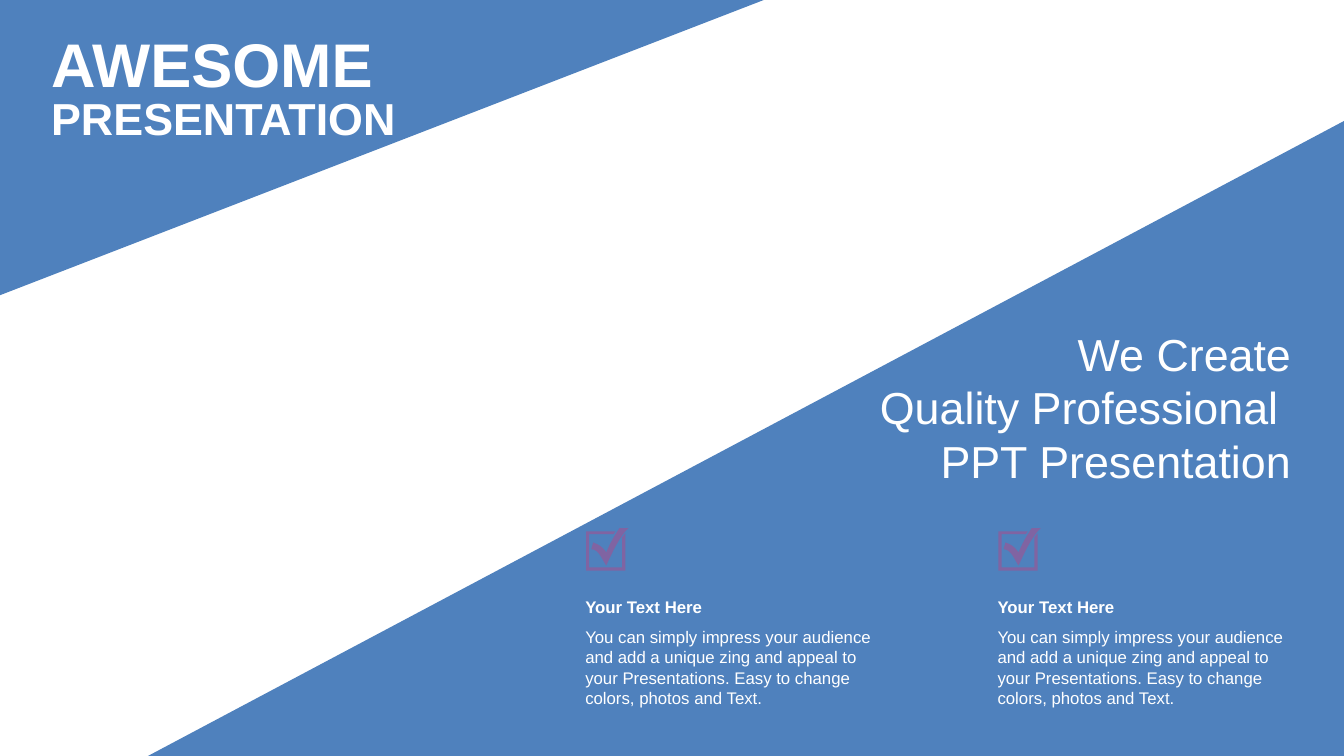
import pptx
import pptx.dml.color
import pptx.enum.text
import pptx.util

Cm = pptx.util.Cm
ALIGN = pptx.enum.text.PP_ALIGN
ANCHOR = pptx.enum.text.MSO_ANCHOR

WIDTH, HEIGHT = 33.87, 19.05
COLORS = {"blue": "4F81BD", "purple": "8064A2", "white": "FFFFFF"}
FONT = "Arial"

HEADING = "Your Text Here"
BODY = ("You can simply impress your audience and add a unique zing and appeal "
        "to your Presentations. Easy to change colors, photos and Text.")
COLUMN_LEFTS = (14.5, 24.89)


def rgb(name):
    return pptx.dml.color.RGBColor.from_string(COLORS[name])


def curve(start, ctrl1, ctrl2, end, steps=8):
    """Points along a cubic curve, without its start."""
    points = []
    for i in range(1, steps + 1):
        t = i / steps
        weights = ((1 - t) ** 3, 3 * t * (1 - t) ** 2, 3 * t * t * (1 - t), t ** 3)
        knots = (start, ctrl1, ctrl2, end)
        points.append(tuple(sum(w * k[axis] for w, k in zip(weights, knots))
                            for axis in (0, 1)))
    return points


def add_outline(shapes, contours, color, left=0, top=0):
    """One filled freeform made of closed contours."""
    contours = [[(Cm(left + x), Cm(top + y)) for x, y in c] for c in contours]
    builder = shapes.build_freeform(*contours[0][0], scale=1.0)
    for i, contour in enumerate(contours):
        if i:
            builder.move_to(*contour[0])
        builder.add_line_segments(contour[1:], close=True)
    sp = builder.convert_to_shape()
    sp.shadow.inherit = False
    sp.fill.solid()
    sp.fill.fore_color.rgb = rgb(color)
    sp.line.fill.background()


def add_text(shapes, box, lines, size, bold=False, align=ALIGN.LEFT,
             anchor=ANCHOR.TOP, insets=(0.25, 0.13)):
    tf = shapes.add_textbox(*(Cm(v) for v in box)).text_frame
    tf.word_wrap = True
    tf.auto_size = pptx.enum.text.MSO_AUTO_SIZE.SHAPE_TO_FIT_TEXT
    tf.vertical_anchor = anchor
    tf.margin_left = tf.margin_right = Cm(insets[0])
    tf.margin_top = tf.margin_bottom = Cm(insets[1])
    for i, line in enumerate(lines):
        p = tf.add_paragraph() if i else tf.paragraphs[0]
        p.alignment = align
        r = p.add_run()
        r.text = line
        r.font.name = FONT
        r.font.size = pptx.util.Pt(size)
        r.font.bold = bold
        r.font.color.rgb = rgb("white")


def add_checkbox(shapes, left, top):
    frame = [(0, 0.08), (0.74, 0.08), (0.69, 0.15), (0.08, 0.15), (0.08, 0.99),
             (0.91, 0.99), (0.91, 0.23), (0.99, 0.13), (0.99, 1.07), (0, 1.07)]
    tip, foot, notch = (1.07, 0), (0.51, 0.94), (0.51, 0.61)
    tick = [tip,
            *curve(tip, (0.86, 0.18), (0.66, 0.61), foot),
            *curve(foot, (0.41, 0.81), (0.33, 0.53), (0.13, 0.53)),
            (0.18, 0.36),
            *curve((0.18, 0.36), (0.36, 0.43), (0.41, 0.48), notch),
            *curve(notch, (0.61, 0.38), (0.66, 0.28), (0.84, 0))]
    add_outline(shapes, [frame, tick], "purple", left, top)


def add_column(shapes, left):
    group = shapes.add_group_shape()
    add_text(group.shapes, (left, 15.67, 7.92, 2.31), [BODY], 12)
    add_text(group.shapes, (left, 14.91, 7.87, 0.76), [HEADING], 12, bold=True)
    add_checkbox(shapes, left + 0.27, 13.31)


def main():
    prs = pptx.Presentation()
    prs.slide_width, prs.slide_height = Cm(WIDTH), Cm(HEIGHT)
    s = prs.slides.add_slide(prs.slide_layouts[6])

    # Blue corners
    lower_right = [(WIDTH, 3.05), (WIDTH, HEIGHT), (3.73, HEIGHT)]
    upper_left = [(0, 0), (19.25, 0), (0, 7.44)]
    add_outline(s.shapes, [lower_right, upper_left], "blue")

    # Text columns with check boxes
    for left in COLUMN_LEFTS:
        add_column(s.shapes, left)

    # Title
    for top, height, text, size in ((0.53, 2.13, "AWESOME", 44),
                                    (2.16, 1.63, "PRESENTATION", 32)):
        add_text(s.shapes, (1.04, top, 9.53, height), [text], size, bold=True,
                 align=ALIGN.JUSTIFY, anchor=ANCHOR.MIDDLE)

    # Tagline
    add_text(s.shapes, (21.54, 8.2, 11.1, 4.11),
             ["We Create", "Quality Professional ", "PPT Presentation"], 32,
             align=ALIGN.RIGHT, anchor=ANCHOR.MIDDLE, insets=(0.1, 0))

    prs.save("out.pptx")


if __name__ == "__main__":
    main()
